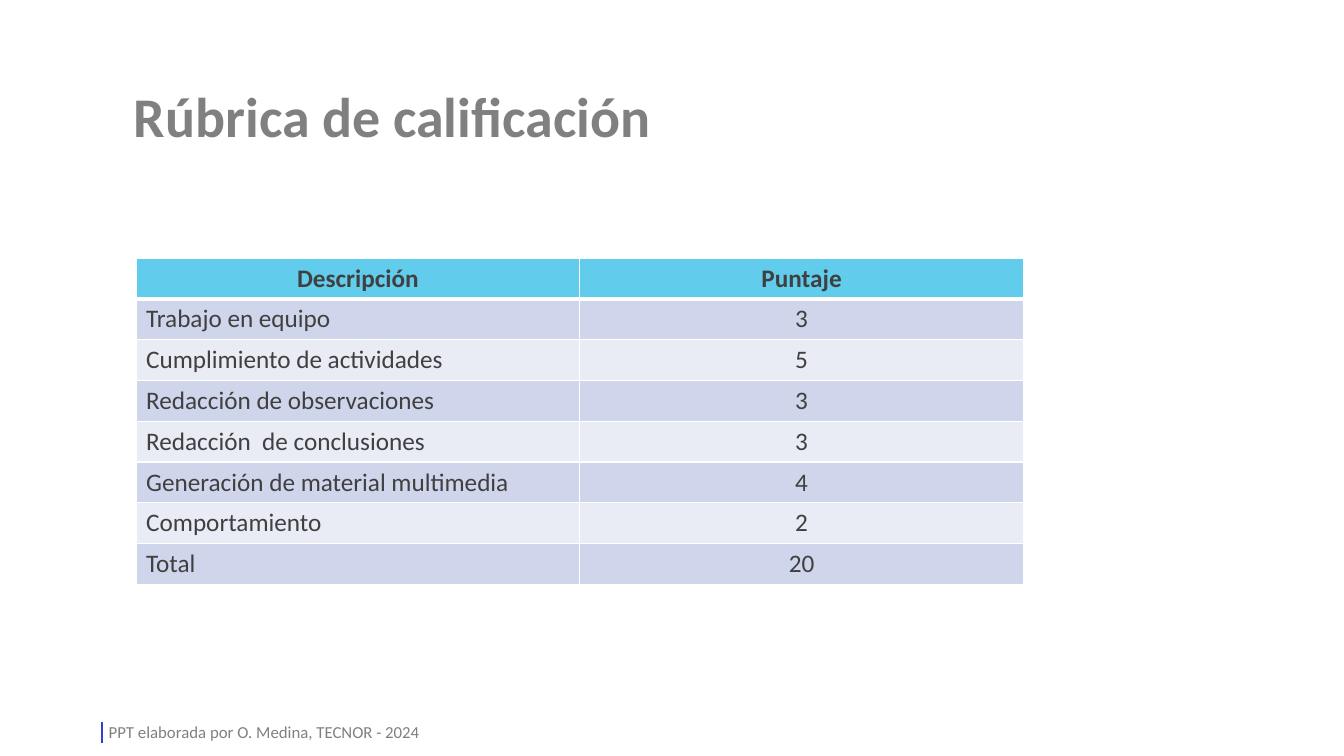
from lxml.etree import SubElement
from pptx import Presentation
from pptx.dml.color import RGBColor
from pptx.enum.shapes import MSO_CONNECTOR
from pptx.enum.text import MSO_ANCHOR, PP_ALIGN
from pptx.oxml.ns import qn
from pptx.util import Inches, Pt

TITLE = "Rúbrica de calificación"
FOOTER = "PPT elaborada por O. Medina, TECNOR - 2024"
RUBRIC = [
    ("Descripción", "Puntaje"),
    ("Trabajo en equipo", "3"),
    ("Cumplimiento de actividades", "5"),
    ("Redacción de observaciones", "3"),
    ("Redacción  de conclusiones", "3"),
    ("Generación de material multimedia", "4"),
    ("Comportamiento", "2"),
    ("Total", "20"),
]
COLORS = {
    "gray": "808080",
    "text": "404040",
    "header": "61CCEC",
    "odd": "CFD5EA",
    "even": "E9EBF5",
    "border": "FFFFFF",
    "rule": "2D40DC",
}
FONT = "Calibri"
TABLE_LEFT, TABLE_TOP = 1.35, 2.56
COLUMN_WIDTH, TABLE_HEIGHT = 4.4, 3.24
RULE_X, RULE_TOP, RULE_BOTTOM = 1.01, 7.16, 7.37


def color(name):
    return RGBColor.from_string(COLORS[name])


def add_run(paragraph, text, size, color_name, bold=False):
    run = paragraph.add_run()
    run.text = text
    run.font.name = FONT
    run.font.size = Pt(size)
    run.font.bold = bold
    run.font.color.rgb = color(color_name)


def add_text(slide, box, text, size, bold=False, wrap=True):
    shape = slide.shapes.add_textbox(*[Inches(value) for value in box])
    frame = shape.text_frame
    frame.word_wrap = wrap
    frame.vertical_anchor = MSO_ANCHOR.MIDDLE
    paragraph = frame.paragraphs[0]
    add_run(paragraph, text, size, "gray", bold)
    return paragraph


def set_borders(cell, widths):
    """Draw white cell edges; widths maps L, R, T, B to points."""
    properties = cell._tc.get_or_add_tcPr()
    for index, (side, width) in enumerate(widths.items()):
        edge = properties.makeelement(qn(f"a:ln{side}"), {"w": str(Pt(width))})
        fill = SubElement(edge, qn("a:solidFill"))
        SubElement(fill, qn("a:srgbClr"), val=COLORS["border"])
        properties.insert(index, edge)


def add_rubric(slide):
    row_count, column_count = len(RUBRIC), len(RUBRIC[0])
    table = slide.shapes.add_table(
        row_count, column_count, Inches(TABLE_LEFT), Inches(TABLE_TOP),
        Inches(COLUMN_WIDTH * column_count), Inches(TABLE_HEIGHT),
    ).table
    for column in table.columns:
        column.width = Inches(COLUMN_WIDTH)
    for row_index, row in enumerate(RUBRIC):
        table.rows[row_index].height = Inches(TABLE_HEIGHT / row_count)
        is_header = row_index == 0
        fill_name = "header" if is_header else ("even", "odd")[row_index % 2]
        for column_index, text in enumerate(row):
            cell = table.cell(row_index, column_index)
            cell.fill.solid()
            cell.fill.fore_color.rgb = color(fill_name)
            paragraph = cell.text_frame.paragraphs[0]
            centered = is_header or column_index == 1
            paragraph.alignment = PP_ALIGN.CENTER if centered else PP_ALIGN.LEFT
            add_run(paragraph, text, 18, "text", is_header)
            set_borders(cell, {
                "L": 1, "R": 1,
                "T": 3 if row_index == 1 else 1,
                "B": 3 if is_header else 1,
            })


def add_footer_rule(slide):
    rule = slide.shapes.add_connector(
        MSO_CONNECTOR.STRAIGHT, Inches(RULE_X), Inches(RULE_TOP),
        Inches(RULE_X), Inches(RULE_BOTTOM),
    )
    rule.line.color.rgb = color("rule")
    rule.line.width = Pt(1)
    SubElement(rule._element.spPr, qn("a:effectLst"))


def main():
    presentation = Presentation()
    presentation.slide_width = Inches(13.33)
    presentation.slide_height = Inches(7.5)
    slide = presentation.slides.add_slide(presentation.slide_layouts[6])
    title = add_text(slide, (1.23, 0.46, 8.27, 1.45), TITLE, 40, bold=True)
    title.line_spacing = 0.9
    add_rubric(slide)
    add_text(slide, (0.98, 7.11, 3.35, 0.3), FOOTER, 12, wrap=False)
    add_footer_rule(slide)
    presentation.save("out.pptx")


if __name__ == "__main__":
    main()
